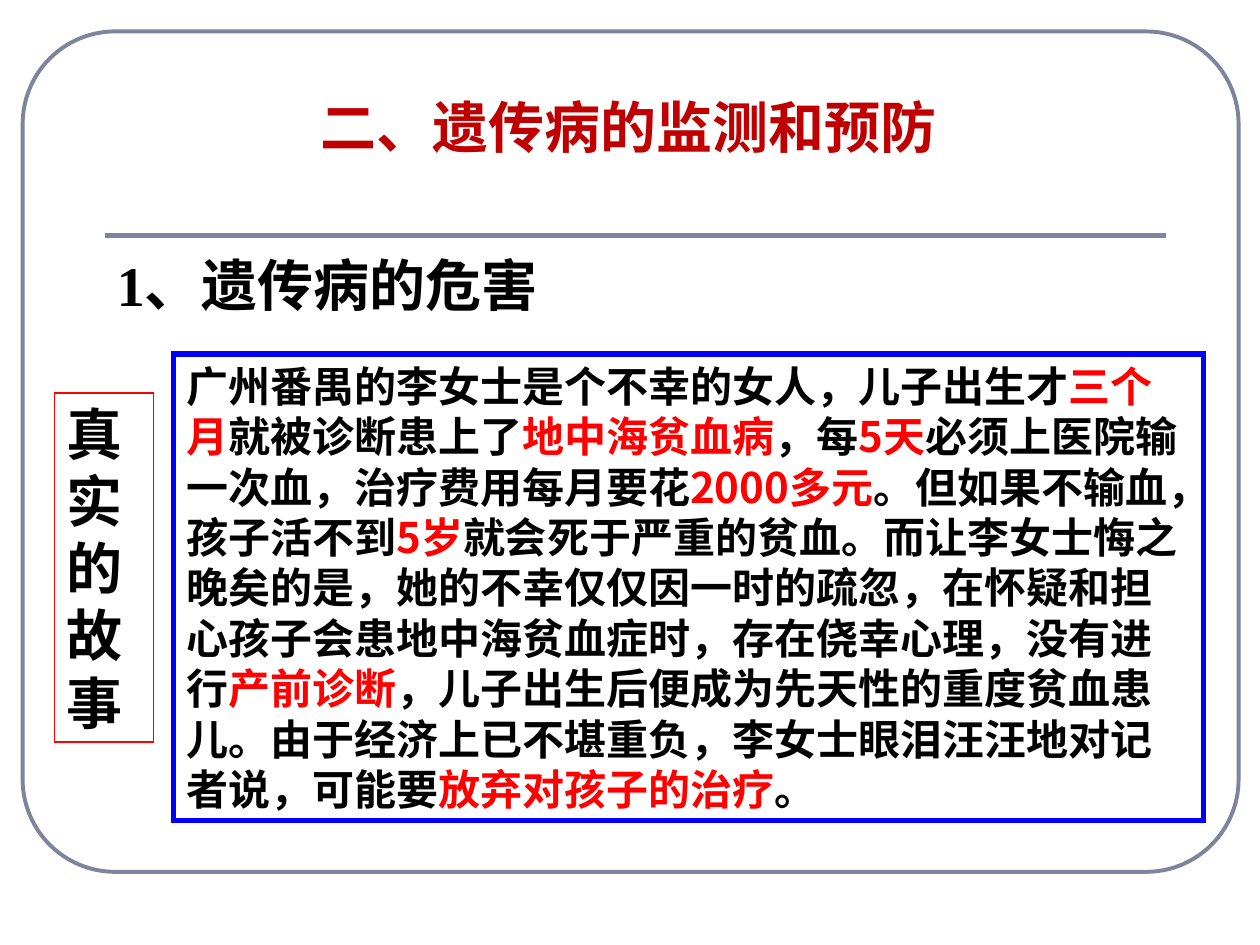
"""Build the slide on monitoring and preventing hereditary disease."""
from lxml import etree
from pptx import Presentation, util as u
from pptx.dml.color import RGBColor
from pptx.enum import shapes, text
from pptx.oxml.ns import qn

THEME = {
    "frame": RGBColor(0x7C, 0x84, 0x9E), "title": RGBColor(0xC0, 0, 0),
    "ink": RGBColor(0, 0, 0), "accent": RGBColor(0xFF, 0, 0),
    "border": RGBColor(0, 0, 0xFF), "heading": 32, "body": 24, "leading": 1.2,
    "cjk": "Noto Sans CJK SC", "serif": "Times New Roman", "sans": "Roboto",
}
STORY = [
    ("广州番禺的李女士是个不幸的女人，儿子出生才", "ink"), ("三个月", "accent"),
    ("就被诊断患上了", "ink"), ("地中海贫血病", "accent"), ("，每", "ink"),
    ("5天", "accent"), ("必须上医院输一次血，治疗费用每月要花", "ink"),
    ("2000多元", "accent"), ("。但如果不输血，孩子活不到", "ink"), ("5岁", "accent"),
    ("就会死于严重的贫血。而让李女士悔之晚矣的是，她的不幸仅仅因一时的疏忽，"
     "在怀疑和担心孩子会患地中海贫血症时，存在侥幸心理，没有进行", "ink"),
    ("产前诊断", "accent"),
    ("，儿子出生后便成为先天性的重度贫血患儿。由于经济上已不堪重负，"
     "李女士眼泪汪汪地对记者说，可能要", "ink"),
    ("放弃对孩子的治疗", "accent"), ("。", "ink"),
]

deck = Presentation()
deck.slide_width, deck.slide_height = u.Inches(10), u.Inches(7.5)
page = deck.slides.add_slide(deck.slide_layouts[5])


def place(*shares):
    """Turn percentages of the slide's width and height into lengths."""
    sides = (deck.slide_width, deck.slide_height) * 2
    return [round(side * share / 100) for side, share in zip(sides, shares)]


def write(box, pieces, font, size):
    """Fill a box with one bold paragraph of coloured pieces."""
    frame = box.text_frame
    frame.word_wrap = True
    frame.auto_size = text.MSO_AUTO_SIZE.NONE
    frame.vertical_anchor = text.MSO_ANCHOR.TOP
    para = frame.paragraphs[0]
    para.alignment = text.PP_ALIGN.LEFT
    para.line_spacing = u.Pt(size * THEME["leading"])
    para.font.size, para.font.bold, para.font.name = u.Pt(size), True, font
    for words, colour in pieces:
        span = para.add_run()
        span.text = words
        span.font.color.rgb = THEME[colour]
        span.font.name = font
        etree.SubElement(span.font._element, qn("a:ea"), typeface=THEME["cjk"])


outlines = [
    (shapes.MSO_SHAPE.ROUNDED_RECTANGLE, (1.8, 3.33, 96.5, 88.93), "frame", 2.25),
    (shapes.MSO_SHAPE.RECTANGLE, (13.8, 37.47, 81.7, 49.33), "border", 3),
    (shapes.MSO_SHAPE.RECTANGLE, (4.3, 41.6, 7.9, 36.93), "accent", 0.75),
]
boxes = []
for kind, area, colour, weight in outlines:
    box = page.shapes.add_shape(kind, *place(*area))
    box.shadow.inherit = False
    box.fill.background()
    box.line.color.rgb = THEME[colour]
    box.line.width = u.Pt(weight)
    etree.SubElement(box._element.spPr.find(qn("a:ln")), qn("a:miter"), lim="800000")
    boxes.append(box)
border, story, label = boxes
border.adjustments[0] = 0.11

rule = page.shapes.add_connector(
    shapes.MSO_CONNECTOR.STRAIGHT, *place(8.3, 24.93, 92.5, 24.93))
rule.line.color.rgb = THEME["frame"]
rule.line.width = u.Pt(3)
etree.SubElement(rule._element.spPr, qn("a:effectLst"))

title = page.shapes.title
title.left, title.top, title.width, title.height = place(24.4, 9.07, 54, 8.53)
subtitle = page.shapes.add_textbox(*place(8.3, 25.87, 40.8, 8.53))

write(title, [("二、遗传病的监测和预防", "title")], THEME["serif"], THEME["heading"])
write(subtitle, [("1、遗传病的危害", "ink")], THEME["serif"], THEME["heading"])
write(story, STORY, THEME["cjk"], THEME["body"])
write(label, [("真实的故事", "ink")], THEME["sans"], THEME["heading"])

deck.save("out.pptx")
